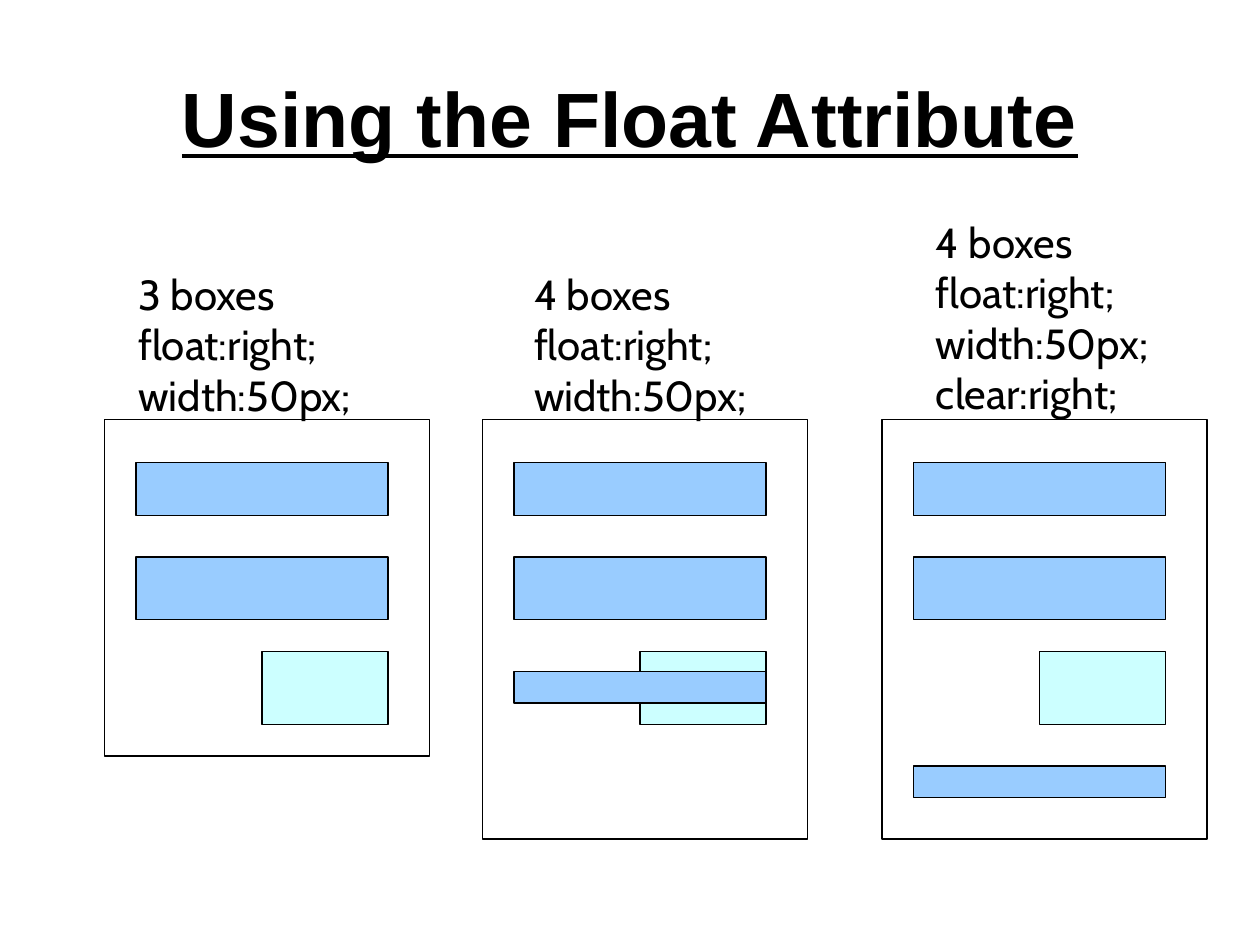
from pptx import Presentation
from pptx.dml.color import RGBColor
from pptx.enum.shapes import MSO_SHAPE as Shape
from pptx.enum.text import MSO_ANCHOR as Anchor, MSO_AUTO_SIZE as AutoSize, PP_ALIGN as Align
from pptx.util import Inches, Pt

BLACK = RGBColor(0x00, 0x00, 0x00)
BLUE = RGBColor(0x99, 0xCC, 0xFF)
CYAN = RGBColor(0xCC, 0xFF, 0xFF)

TITLE_FONT = {"name": "Arial", "size": Pt(44), "bold": True, "underline": True}
LABEL_FONT = {"name": "Cabin", "size": Pt(24)}

FRAME_TOP, FRAME_WIDTH = 3.33, 2.58
PADDING = 0.25
BAR_WIDTH, FLOAT_WIDTH = 2, 1

# Frame left, frame height, top of the fourth box (None: three boxes)
PANELS = [(0.83, 2.67, None), (3.83, 3.33, 5.33), (7, 3.33, 6.08)]

# Left, top, width, height, wrap, paragraphs
LABELS = [
    (1, 2.08, 2.39, 1.3, True, ["3 boxes", "float:right;", "width:50px;"]),
    (4.14, 2.08, 2.02, 1.3, False, ["4 boxes", "float:right;", "width:50px;"]),
    (7.33, 1.67, 2.08, 1.7, True, ["4 boxes float:right; width:50px; clear:right;"]),
]


def add_text(page, left, top, width, height, lines, font, wrap=True,
             align=Align.LEFT, anchor=Anchor.TOP, auto_size=AutoSize.NONE):
    box = page.shapes.add_textbox(Inches(left), Inches(top), Inches(width), Inches(height))
    frame = box.text_frame
    frame.word_wrap = wrap
    frame.auto_size = auto_size
    frame.vertical_anchor = anchor
    for index, line in enumerate(lines):
        para = frame.add_paragraph() if index else frame.paragraphs[0]
        para.alignment = align
        span = para.add_run()
        span.text = line
        for name, value in font.items():
            setattr(span.font, name, value)
        span.font.color.rgb = BLACK


def add_box(page, left, top, width, height, color=None):
    box = page.shapes.add_shape(Shape.RECTANGLE, Inches(left), Inches(top),
                                Inches(width), Inches(height))
    box.shadow.inherit = False
    box.line.color.rgb = BLACK
    box.line.width = Pt(0.75)
    if color is None:
        box.fill.background()
    else:
        box.fill.solid()
        box.fill.fore_color.rgb = color


def add_panel(page, left, height, last_top):
    inner = left + PADDING
    add_box(page, left, FRAME_TOP, FRAME_WIDTH, height)
    add_box(page, inner, 3.67, BAR_WIDTH, 0.42, BLUE)
    add_box(page, inner, 4.42, BAR_WIDTH, 0.5, BLUE)
    # Floated box, flush with the right end of the bars
    add_box(page, inner + BAR_WIDTH - FLOAT_WIDTH, 5.17, FLOAT_WIDTH, 0.58, CYAN)
    if last_top is not None:
        add_box(page, inner, last_top, BAR_WIDTH, 0.25, BLUE)


def main():
    deck = Presentation()
    deck.slide_width, deck.slide_height = Inches(10), Inches(7.5)
    page = deck.slides.add_slide(deck.slide_layouts[6])

    # Title
    add_text(page, 0.5, 0.3, 9, 1.25, ["Using the Float Attribute"], TITLE_FONT,
             align=Align.CENTER, anchor=Anchor.MIDDLE)

    # Layout diagrams
    for panel in PANELS:
        add_panel(page, *panel)

    # Style labels above the diagrams
    for left, top, width, height, wrap, lines in LABELS:
        add_text(page, left, top, width, height, lines, LABEL_FONT, wrap,
                 auto_size=AutoSize.SHAPE_TO_FIT_TEXT)

    deck.save("out.pptx")


if __name__ == "__main__":
    main()
